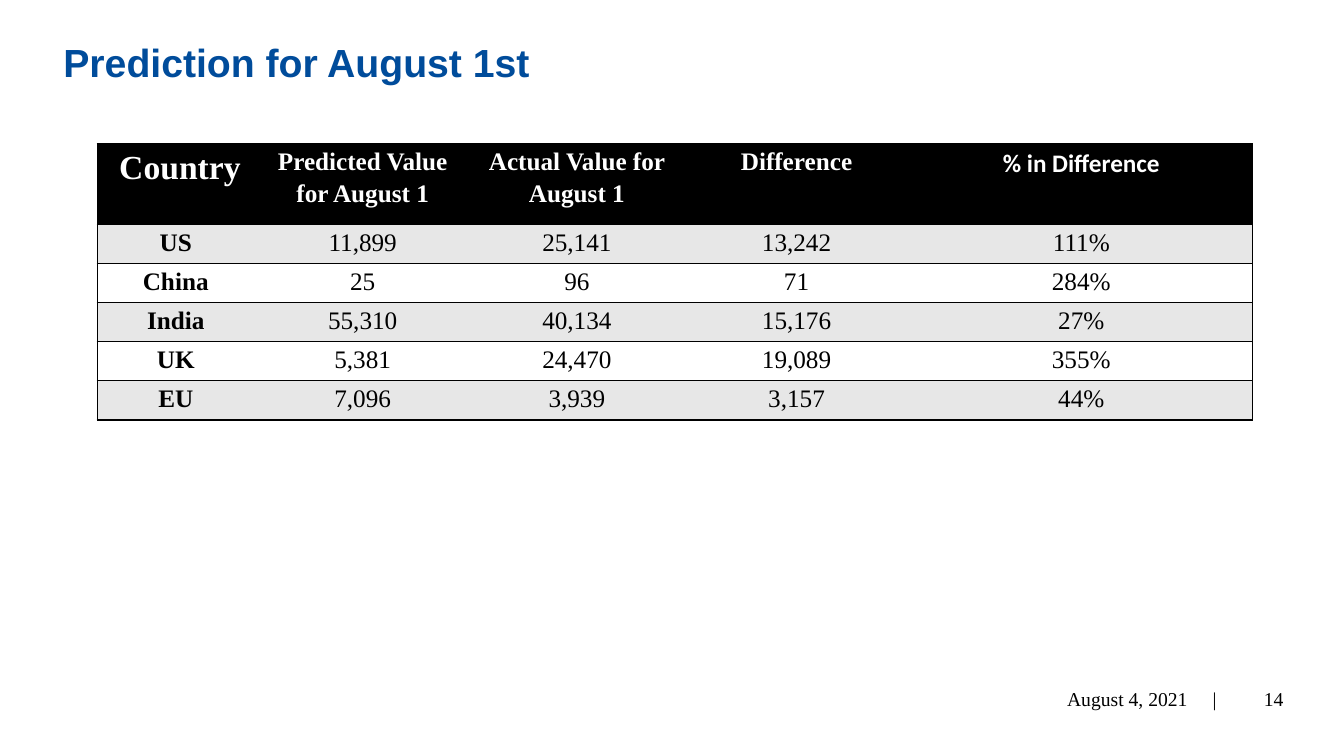
from dataclasses import dataclass

from lxml import etree
from pptx import Presentation
from pptx.dml.color import RGBColor
from pptx.enum.text import MSO_ANCHOR, PP_ALIGN
from pptx.oxml.ns import qn
from pptx.util import Pt

LEFT, CENTER, RIGHT = PP_ALIGN.LEFT, PP_ALIGN.CENTER, PP_ALIGN.RIGHT
TOP, MIDDLE = MSO_ANCHOR.TOP, MSO_ANCHOR.MIDDLE

# Content
TITLE = "Prediction for August 1st"
DATE = "August 4, 2021\t|"
PAGE = "14"
HEADER = [" Country", "Predicted Value for August 1",
          "Actual Value for August 1", "Difference", "% in Difference"]
ROWS = [
    ("US", "11,899", "25,141", "13,242", "111%"),
    ("China", "25", "96", "71", "284%"),
    ("India", "55,310", "40,134", "15,176", "27%"),
    ("UK", "5,381", "24,470", "19,089", "355%"),
    ("EU", "7,096", "3,939", "3,157", "44%"),
]

# Layout, in points
SLIDE_W, SLIDE_H = 960, 540
TABLE_X, TABLE_Y = 69.4, 102.7
COL_W = [112.3, 154.8, 151.2, 162.7, 244.1]
HEAD_H, ROW_H = 57.8, 27.9
FOOT_Y, FOOT_H = 484.7, 28.8
DATE_INDENT, BAR_TAB = 103.4, 104


@dataclass(frozen=True)
class Theme:
    title: str = "004C9B"
    ink: str = "000000"
    paper: str = "FFFFFF"
    band: str = "E7E7E7"
    title_font: str = "Arial"
    body_font: str = "Times New Roman"
    accent_font: str = "Calibri"
    title_size: int = 28
    country_size: int = 24
    table_size: int = 18
    foot_size: int = 14


T = Theme()


def write(tf, text, font=T.body_font, size=T.table_size, color=T.ink,
          bold=False, align=LEFT, spacing=None, tab=None):
    p = tf.paragraphs[0]
    p.alignment = align
    if spacing:
        p.line_spacing = spacing
    if tab:
        tabs = etree.SubElement(p._p.get_or_add_pPr(), qn("a:tabLst"))
        etree.SubElement(tabs, qn("a:tab"), pos=str(Pt(tab)), algn="l")
    r = p.add_run()
    r.text = text
    r.font.name, r.font.size, r.font.bold = font, Pt(size), bold
    r.font.color.rgb = RGBColor.from_string(color)


def text_box(s, x, y, w, h, text, anchor=TOP, indent=7.2, right=7.2, **fmt):
    tf = s.shapes.add_textbox(Pt(x), Pt(y), Pt(w), Pt(h)).text_frame
    tf.word_wrap = True
    tf.vertical_anchor = anchor
    tf.margin_left, tf.margin_right = Pt(indent), Pt(right)
    write(tf, text, **fmt)


def set_borders(cell, drawn):
    tc_pr = cell._tc.get_or_add_tcPr()
    for side in "LRTB":
        ln = etree.SubElement(tc_pr, qn("a:ln" + side), w=str(Pt(1)))
        if side in drawn:
            fill = etree.SubElement(ln, qn("a:solidFill"))
            etree.SubElement(fill, qn("a:srgbClr"), val=T.ink)
        else:
            etree.SubElement(ln, qn("a:noFill"))


def prediction_table(s):
    grid = [HEADER, *ROWS]
    heights = [HEAD_H] + [ROW_H] * len(ROWS)
    table = s.shapes.add_table(len(grid), len(COL_W), Pt(TABLE_X), Pt(TABLE_Y),
                               Pt(sum(COL_W)), Pt(sum(heights))).table
    for col, width in zip(table.columns, COL_W):
        col.width = Pt(width)
    last = len(COL_W) - 1
    for i, values in enumerate(grid):
        table.rows[i].height = Pt(heights[i])
        head = i == 0
        fill = T.ink if head else (T.band if i % 2 else T.paper)
        for j, value in enumerate(values):
            cell = table.cell(i, j)
            set_borders(cell, "TB" + ("L" if j == 0 else "") + ("R" if j == last else ""))
            cell.fill.solid()
            cell.fill.fore_color.rgb = RGBColor.from_string(fill)
            cell.margin_left = cell.margin_right = Pt(5)
            cell.margin_top = cell.margin_bottom = Pt(0)
            write(cell.text_frame, value, align=CENTER, spacing=1.15,
                  font=T.accent_font if head and j == last else T.body_font,
                  size=T.country_size if head and j == 0 else T.table_size,
                  color=T.paper if head else T.ink, bold=head or j == 0)


def main():
    prs = Presentation()
    prs.slide_width, prs.slide_height = Pt(SLIDE_W), Pt(SLIDE_H)
    s = prs.slides.add_slide(prs.slide_layouts[6])

    # Title
    text_box(s, 38.2, 31, 886.3, 84.2, TITLE, font=T.title_font,
             size=T.title_size, color=T.title, bold=True, spacing=Pt(26.6))

    # Footer: date with its bar, then page number
    text_box(s, 658.8, FOOT_Y, 217.4, FOOT_H, DATE, anchor=MIDDLE,
             indent=DATE_INDENT, right=0, size=T.foot_size, tab=BAR_TAB)
    text_box(s, 853.2, FOOT_Y, 70.6, FOOT_H, PAGE, anchor=MIDDLE,
             size=T.foot_size, align=RIGHT)

    # Table
    prediction_table(s)
    prs.save("out.pptx")


if __name__ == "__main__":
    main()
